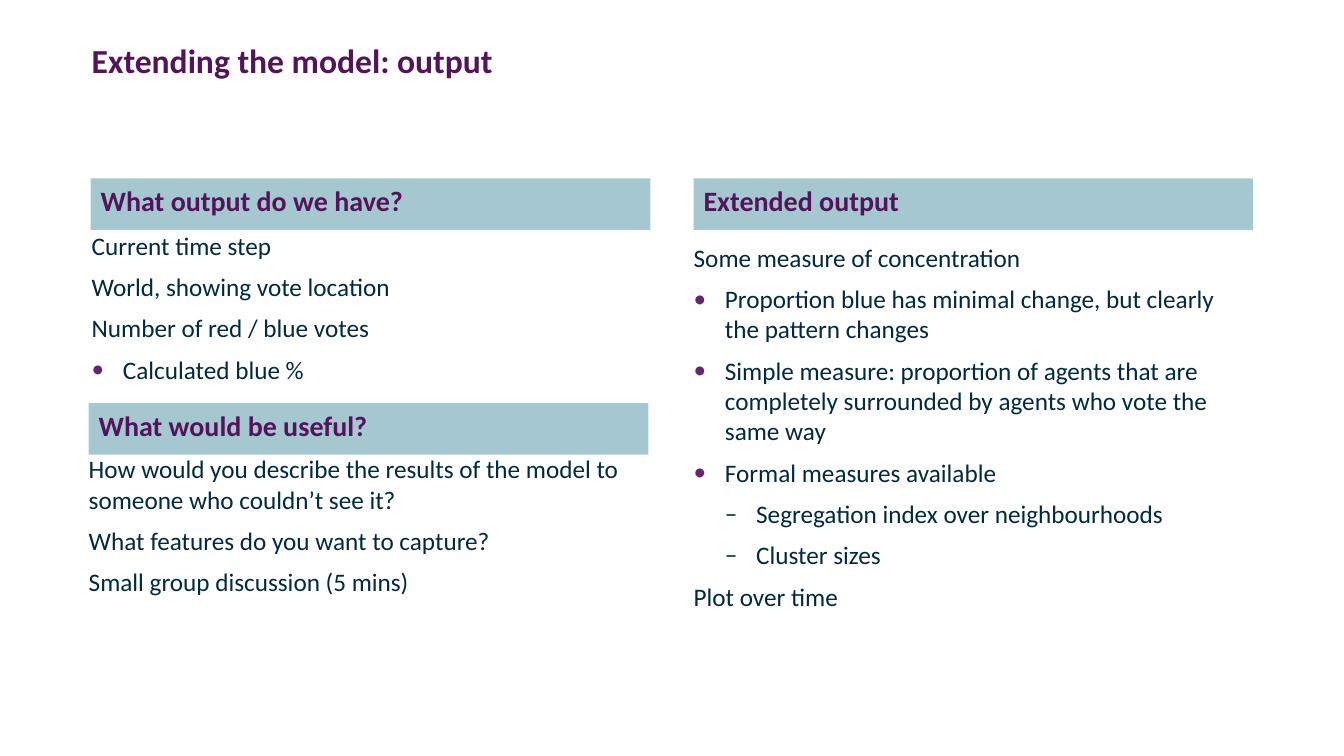
"""Build the slide on extending the model's output."""
from dataclasses import dataclass

from lxml.etree import SubElement
from pptx import Presentation
from pptx.dml.color import RGBColor
from pptx.enum.shapes import MSO_SHAPE as Shape
from pptx.enum.text import MSO_ANCHOR as Anchor, PP_ALIGN as Align
from pptx.oxml.ns import qn
from pptx.util import Inches, Pt


@dataclass(frozen=True)
class Theme:
    font: str = "Calibri"
    heading: str = "54145A"
    body: str = "002A41"
    band: str = "A5C8D0"
    bullet: str = "68246D"
    title_size: int = 24
    heading_size: int = 20
    body_size: int = 18
    paragraph_gap: int = 8


THEME = Theme()
COLUMN_WIDTH, BAND_HEIGHT, INDENT = 5.55, 0.51, 0.31
BULLETS = {1: ("•", THEME.bullet), 2: ("–", THEME.body)}


def style(paragraph, size, color, bold=False):
    paragraph.alignment = Align.LEFT
    font = paragraph.font
    font.name, font.size, font.bold = THEME.font, Pt(size), bold
    font.color.rgb = RGBColor.from_string(color)


def add_text(left, top, width, height):
    frame = slide.shapes.add_textbox(
        Inches(left), Inches(top), Inches(width), Inches(height)).text_frame
    frame.word_wrap = True
    frame.vertical_anchor = Anchor.TOP
    frame.margin_left = frame.margin_right = 0
    frame.margin_top = frame.margin_bottom = 0
    return frame


deck = Presentation()
deck.slide_width, deck.slide_height = Inches(13.33), Inches(7.5)
slide = deck.slides.add_slide(deck.slide_layouts[6])

title = add_text(0.91, 0.4, 11.52, 1.25)
title.text = "Extending the model: output"
style(title.paragraphs[0], THEME.title_size, THEME.heading, bold=True)

headings = [
    ("What output do we have?", 0.9, 1.77),
    ("Extended output", 6.88, 1.77),
    ("What would be useful?", 0.88, 4),
]
for wording, left, top in headings:
    band = slide.shapes.add_shape(
        Shape.RECTANGLE, Inches(left), Inches(top), Inches(COLUMN_WIDTH), Inches(BAND_HEIGHT))
    band.shadow.inherit = False
    band.fill.solid()
    band.fill.fore_color.rgb = RGBColor.from_string(THEME.band)
    band.line.fill.background()
    band.text_frame.text = wording
    band.text_frame.vertical_anchor = Anchor.TOP
    style(band.text_frame.paragraphs[0], THEME.heading_size, THEME.heading, bold=True)

sections = [
    (0.91, 2.28, 1.72, [
        (0, "Current time step"),
        (0, "World, showing vote location"),
        (0, "Number of red / blue votes"),
        (1, "Calculated blue %"),
    ]),
    (6.88, 2.4, 3.64, [
        (0, "Some measure of concentration"),
        (1, "Proportion blue has minimal change, but clearly the pattern changes"),
        (1, "Simple measure: proportion of agents that are completely surrounded "
            "by agents who vote the same way"),
        (1, "Formal measures available"),
        (2, "Segregation index over neighbourhoods"),
        (2, "Cluster sizes"),
        (0, "Plot over time"),
    ]),
    (0.88, 4.5, 1.86, [
        (0, "How would you describe the results of the model to someone who couldn’t see it?"),
        (0, "What features do you want to capture?"),
        (0, "Small group discussion (5 mins)"),
    ]),
]
for left, top, height, points in sections:
    frame = add_text(left, top, COLUMN_WIDTH, height)
    frame.text = "\n".join(wording for level, wording in points)
    for position, (paragraph, (level, wording)) in enumerate(zip(frame.paragraphs, points)):
        paragraph.level = level
        paragraph.space_before = Pt(THEME.paragraph_gap if position else 0)
        if level:
            symbol, color = BULLETS[level]
            properties = paragraph._p.get_or_add_pPr()
            properties.set("marL", str(Inches(INDENT * level)))
            properties.set("indent", str(-Inches(INDENT)))
            bullet_color = SubElement(properties, qn("a:buClr"))
            SubElement(bullet_color, qn("a:srgbClr"), val=color)
            SubElement(properties, qn("a:buFont"), typeface=THEME.font)
            SubElement(properties, qn("a:buChar"), char=symbol)
        style(paragraph, THEME.body_size, THEME.body)

deck.save("out.pptx")
